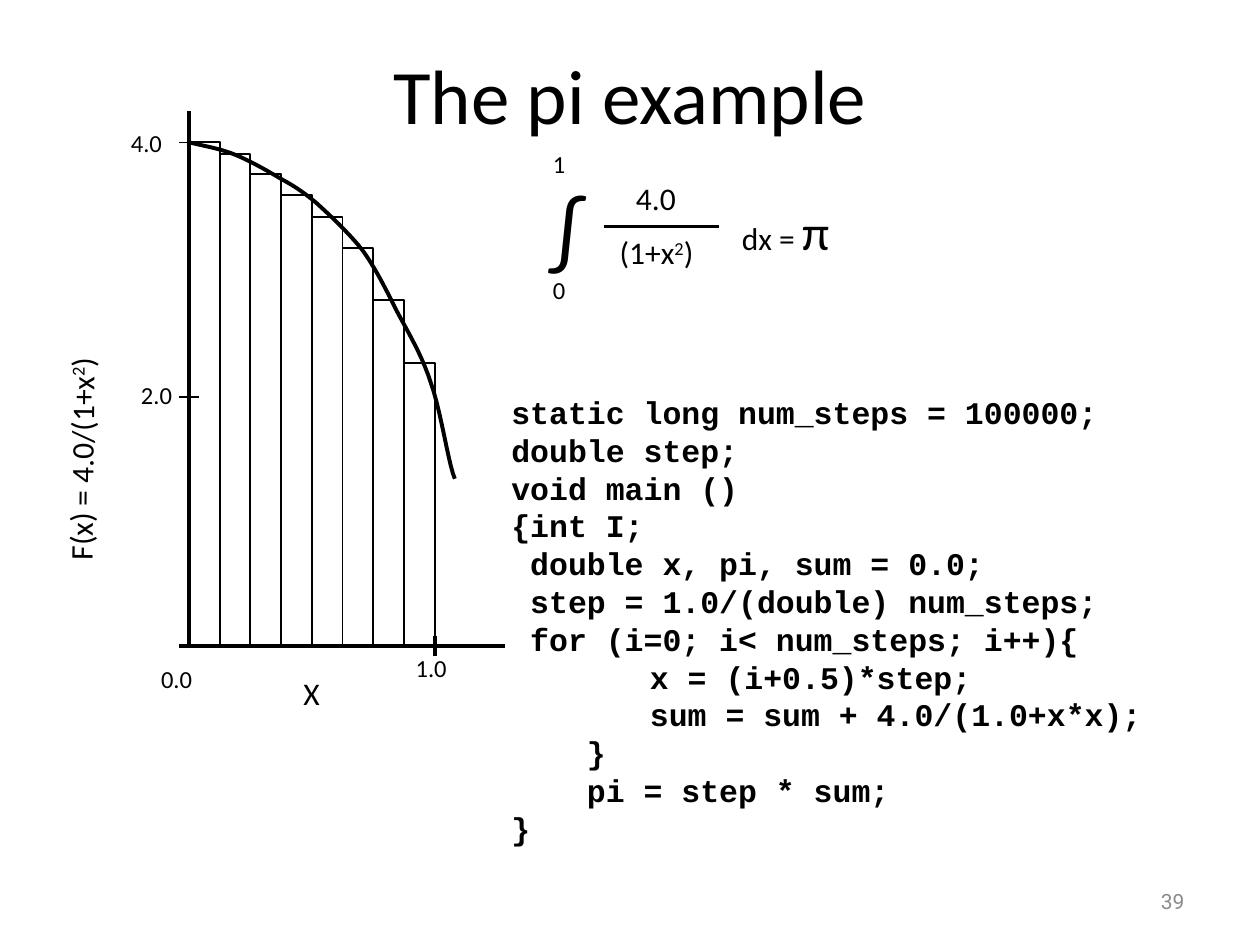
from dataclasses import dataclass

from lxml import etree
from pptx import Presentation
from pptx.dml.color import RGBColor
from pptx.enum.shapes import MSO_CONNECTOR, MSO_SHAPE
from pptx.enum.text import MSO_ANCHOR, PP_ALIGN
from pptx.oxml.ns import qn
from pptx.util import Inches, Pt

STRAIGHT = MSO_CONNECTOR.STRAIGHT
RECTANGLE = MSO_SHAPE.RECTANGLE
TOP, MIDDLE = MSO_ANCHOR.TOP, MSO_ANCHOR.MIDDLE
LEFT, CENTER, RIGHT = PP_ALIGN.LEFT, PP_ALIGN.CENTER, PP_ALIGN.RIGHT


@dataclass(frozen=True)
class Theme:
    ink: RGBColor = RGBColor(0x00, 0x00, 0x00)
    muted: RGBColor = RGBColor(0x8C, 0x8C, 0x8C)
    body_font: str = "Calibri"
    code_font: str = "Courier New"
    number_font: str = "Roboto"
    title: int = 44
    integral: int = 48
    pi: int = 28
    body: int = 18
    label: int = 14
    number: int = 12
    thin: float = 1
    medium: float = 1.5
    thick: float = 2.25


class Canvas:
    def __init__(self, slide, theme):
        self.slide, self.theme = slide, theme

    def text(self, box, paragraphs, size, font=None, color=None, bold=False,
             align=LEFT, anchor=TOP, rotation=0):
        """Each paragraph is (indent in inches, runs); a run is (text, size, raised)."""
        sp = self.slide.shapes.add_textbox(*map(Inches, box))
        sp.rotation = rotation
        tf = sp.text_frame
        tf.word_wrap = True
        tf.vertical_anchor = anchor
        for i, (indent, runs) in enumerate(paragraphs):
            p = tf.add_paragraph() if i else tf.paragraphs[0]
            p.alignment = align
            p.font.name = font or self.theme.body_font
            p.font.size = Pt(size)
            p.font.bold = bold
            p.font.color.rgb = color or self.theme.ink
            if indent:
                p._p.get_or_add_pPr().set("marL", str(Inches(indent)))
            for text, run_size, raised in runs:
                r = p.add_run()
                r.text = text
                if run_size:
                    r.font.size = Pt(run_size)
                if raised:
                    r._r.get_or_add_rPr().set("baseline", "30000")

    def label(self, box, text, size, **style):
        self.text(box, [(0, [(text, None, False)])], size, **style)

    def squared(self, box, base, **style):
        """Text that ends in a raised 2 and a closing bracket."""
        runs = [(base, None, False), ("2", None, True), (")", None, False)]
        self.text(box, [(0, runs)], self.theme.body, **style)

    def outline(self, sp, width):
        sp.shadow.inherit = False
        sp.fill.background()
        sp.line.color.rgb = self.theme.ink
        sp.line.width = Pt(width)

    def bar(self, x, y, w, h):
        sp = self.slide.shapes.add_shape(RECTANGLE, *map(Inches, (x, y, w, h)))
        self.outline(sp, self.theme.thin)

    def line(self, x1, y1, x2, y2, width):
        c = self.slide.shapes.add_connector(
            STRAIGHT, *map(Inches, (x1, y1, x2, y2)))
        c.line.color.rgb = self.theme.ink
        c.line.width = Pt(width)
        etree.SubElement(c._element.spPr, qn("a:effectLst"))

    def curve(self, start, segments, width, steps=10):
        """Draw joined cubic Bézier segments, each (control, control, end)."""
        points, p0 = [], start
        for p1, p2, p3 in segments:
            for t in (k / steps for k in range(1, steps + 1)):
                u = 1 - t
                points.append(tuple(
                    Inches(u**3 * a + 3*u*u*t * b + 3*u*t*t * c + t**3 * d)
                    for a, b, c, d in zip(p0, p1, p2, p3)))
            p0 = p3
        builder = self.slide.shapes.build_freeform(*map(Inches, start))
        builder.add_line_segments(points, close=False)
        self.outline(builder.convert_to_shape(), width)


CODE = [
    (0, "static long num_steps = 100000;"),
    (0, "double step;"),
    (0, "void main ()"),
    (0, "{int I;"),
    (0.15, "double x, pi, sum = 0.0;"),
    (0.15, "step = 1.0/(double) num_steps;"),
    (0.15, "for (i=0; i< num_steps; i++){"),
    (1.1, "x = (i+0.5)*step;"),
    (1.1, "sum = sum + 4.0/(1.0+x*x);"),
    (0.6, "}"),
    (0.6, "pi = step * sum;"),
    (0, "}"),
]
ORIGIN_X, ORIGIN_Y, ONE_X = 1.5, 5.13, 3.45
CURVE_TOP = 1.13
BAR_TOPS = [1.13, 1.22, 1.38, 1.55, 1.72, 1.97, 2.38, 2.88]
CURVE = [
    ((1.62, 1.16), (1.75, 1.18), (1.87, 1.23)),
    ((1.99, 1.28), (2.13, 1.36), (2.23, 1.42)),
    ((2.34, 1.48), (2.4, 1.52), (2.51, 1.61)),
    ((2.62, 1.71), (2.77, 1.85), (2.88, 1.99)),
    ((2.98, 2.13), (3.06, 2.29), (3.15, 2.47)),
    ((3.24, 2.64), (3.35, 2.82), (3.42, 3.04)),
    ((3.5, 3.26), (3.56, 3.69), (3.61, 3.8)),
]
TICK_LABELS = [(0.94, 0.97, "4.0"), (1.02, 2.97, "2.0"),
               (3.2, 5.13, "1.0"), (1.18, 5.22, "0.0")]


def draw_formula(s):
    t = s.theme
    s.label((4.29, 1.35, 0.42, 0.9), "∫", t.integral)
    s.label((4.58, 1.37, 1.25, 0.43), "4.0", t.body, align=CENTER)
    s.squared((4.5, 1.8, 1.42, 0.43), "(1+x", align=CENTER)
    s.line(4.79, 1.8, 5.71, 1.8, t.medium)
    s.text((5.79, 1.55, 1.75, 0.57),
           [(0, [("dx = ", None, False), ("π", t.pi, False)])], t.body)
    for y, limit in ((2.13, "0"), (1.13, "1")):
        s.label((4.29, y, 0.33, 0.33), limit, t.label)


def draw_graph(s):
    t = s.theme
    step = (ONE_X - ORIGIN_X) / len(BAR_TOPS)
    for i, top in enumerate(BAR_TOPS):
        s.bar(ORIGIN_X + i * step, top, step, ORIGIN_Y - top)
    s.line(ORIGIN_X, 0.88, ORIGIN_X, ORIGIN_Y, t.thick)
    for y in (CURVE_TOP, 3.15):
        s.line(ORIGIN_X - 0.08, y, ORIGIN_X + 0.08, y, t.thin)
    s.line(ORIGIN_X - 0.08, ORIGIN_Y, 4.01, ORIGIN_Y, t.thick)
    s.line(ONE_X, ORIGIN_Y - 0.08, ONE_X, ORIGIN_Y + 0.08, t.thick)
    s.curve((ORIGIN_X, CURVE_TOP), CURVE, t.thick)
    s.squared((-0.51, 3.17, 2.33, 0.42), "F(x) = 4.0/(1+x", rotation=270.5)
    for x, y, value in TICK_LABELS:
        s.label((x, y, 0.49, 0.33), value, t.label)
    s.label((2.31, 5.3, 0.49, 0.43), "X", t.body)


def main():
    prs = Presentation()
    prs.slide_width, prs.slide_height = Inches(10), Inches(7.5)
    t = Theme()
    s = Canvas(prs.slides.add_slide(prs.slide_layouts[6]), t)
    s.label((7.17, 6.95, 2.33, 0.4), "39", t.number, font=t.number_font,
            color=t.muted, align=RIGHT, anchor=MIDDLE)
    s.text((3.96, 3.07, 5.89, 3.74),
           [(indent, [(code, None, False)]) for indent, code in CODE],
           t.body, font=t.code_font, bold=True)
    draw_formula(s)
    draw_graph(s)
    s.label((0.5, 0.12, 9, 1.25), "The pi example", t.title,
            align=CENTER, anchor=MIDDLE)
    prs.save("out.pptx")


if __name__ == "__main__":
    main()
